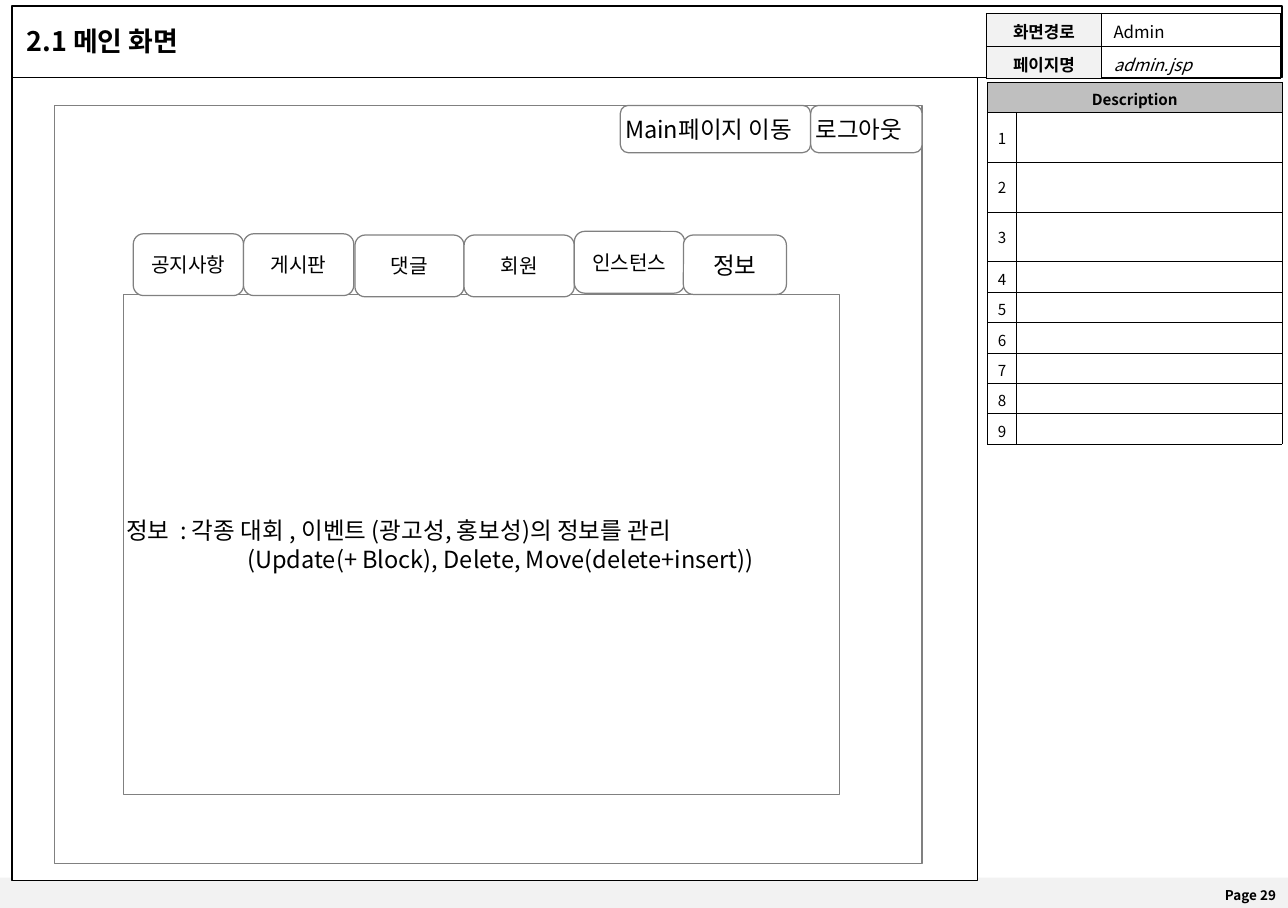
from lxml import etree
from pptx import Presentation
from pptx.dml.color import RGBColor
from pptx.enum.shapes import MSO_SHAPE as Shape
from pptx.enum.text import MSO_ANCHOR as Anchor, MSO_AUTO_SIZE as AutoSize, PP_ALIGN as Align
from pptx.oxml.ns import qn
from pptx.util import Inches, Pt

FONT = "Noto Sans CJK KR"
SLIDE_WIDTH, SLIDE_HEIGHT = 10.63, 7.495
COLORS = {
    "ink": "000000",
    "paper": "FFFFFF",
    "outline": "808080",
    "label": "F2F2F2",
    "heading": "BFBFBF",
}


def color(name):
    return RGBColor.from_string(COLORS[name])


def write_text(holder, text, size=12, bold=False, italic=False, align=Align.LEFT,
               anchor=Anchor.MIDDLE, margins=(0.1, 0.05)):
    """Write lines of text into a text frame or a table cell."""
    holder.vertical_anchor = anchor
    holder.margin_left = holder.margin_right = Inches(margins[0])
    holder.margin_top = holder.margin_bottom = Inches(margins[1])
    frame = getattr(holder, "text_frame", holder)
    frame.word_wrap = True
    for index, line in enumerate(text.split("\n")):
        paragraph = frame.add_paragraph() if index else frame.paragraphs[0]
        if "\t" in line:
            tabs = etree.SubElement(paragraph._p.get_or_add_pPr(), qn("a:tabLst"))
            etree.SubElement(tabs, qn("a:tab"), pos=str(Inches(1)), algn="l")
        paragraph.alignment = align
        if not line:
            etree.SubElement(paragraph._p, qn("a:endParaRPr"), sz=str(size * 100))
            continue
        run = paragraph.add_run()
        run.text = line
        font = run.font
        font.size, font.bold, font.italic = Pt(size), bold, italic
        font.color.rgb = color("ink")
        font.name = FONT
        etree.SubElement(run._r.get_or_add_rPr(), qn("a:ea"), typeface=FONT)


def add_box(slide, left, top, width, height, kind=Shape.RECTANGLE, fill="paper", line="outline"):
    shape = slide.shapes.add_shape(kind, Inches(left), Inches(top), Inches(width), Inches(height))
    shape.shadow.inherit = False
    if fill:
        shape.fill.solid()
        shape.fill.fore_color.rgb = color(fill)
    else:
        shape.fill.background()
    if line:
        shape.line.color.rgb = color(line)
        shape.line.width = Pt(0.75)
    else:
        shape.line.fill.background()
    return shape


def add_button(slide, left, top, width, height, label, size, align):
    button = add_box(slide, left, top, width, height, Shape.ROUNDED_RECTANGLE)
    write_text(button.text_frame, label, size=size, align=align, margins=(0.02, 0.02))


def add_grid(slide, left, top, columns, rows):
    """Add an unstyled table with the given column widths and row heights."""
    table = slide.shapes.add_table(len(rows), len(columns), Inches(left), Inches(top),
                                   Inches(sum(columns)), Inches(sum(rows))).table
    table.first_row = table.horz_banding = False
    for column, width in zip(table.columns, columns):
        column.width = Inches(width)
    for row, height in zip(table.rows, rows):
        row.height = Inches(height)
    return table


def format_cell(cell, fill=None):
    if fill:
        cell.fill.solid()
        cell.fill.fore_color.rgb = color(fill)
    else:
        cell.fill.background()
    properties = cell._tc.get_or_add_tcPr()
    for index, side in enumerate(("lnL", "lnR", "lnT", "lnB")):
        border = etree.Element(qn(f"a:{side}"), w=str(Pt(0.45)))
        solid = etree.SubElement(border, qn("a:solidFill"))
        etree.SubElement(solid, qn("a:srgbClr"), val=COLORS["ink"])
        properties.insert(index, border)


def build_frame(slide, left, top, width, height):
    """Footer band, work area, header bar, title and page number."""
    footer_top = top + height - 0.25
    add_box(slide, left, footer_top, width, 0.25, fill="label", line=None)
    add_box(slide, left + 0.1, top + 0.64, 7.97, 6.63, line="ink")
    add_box(slide, left + 0.1, top + 0.05, 10.48, 0.59, fill=None, line="ink")

    title = slide.shapes.title
    title.left, title.top = Inches(left + 0.12), Inches(top + 0.15)
    title.width, title.height = Inches(5.2), Inches(0.37)
    title.text_frame.auto_size = AutoSize.NONE
    write_text(title.text_frame, "2.1 메인 화면", size=16, bold=True, anchor=Anchor.TOP)

    page = slide.shapes.add_textbox(Inches(left + width - 5.74), Inches(footer_top + 0.02),
                                    Inches(5.74), Inches(0.25))
    write_text(page.text_frame, "Page 29", size=8, bold=True, align=Align.RIGHT)


def build_description(slide, left, top):
    """Numbered description table."""
    table = add_grid(slide, left, top, [0.24, 2.19], [0.25] + [0.41] * 3 + [0.25] * 6)
    table.cell(0, 0).merge(table.cell(0, 1))
    for index in range(len(table.rows)):
        number, note = table.cell(index, 0), table.cell(index, 1)
        heading = index == 0
        for cell in (number, note):
            format_cell(cell, fill="heading" if heading else None)
        write_text(number, "Description" if heading else str(index), size=9, bold=heading,
                   align=Align.CENTER, margins=(0.1 if heading else 0.04, 0.05))
        if not heading:
            write_text(note, "", size=9, margins=(0.04, 0.05))


def build_page_info(slide, left, top):
    """Screen route and page name table."""
    table = add_grid(slide, left, top, [0.95, 1.48], [0.27, 0.27])
    entries = [("화면경로", "Admin", False), ("페이지명", "admin.jsp", True)]
    for index, (label, value, italic) in enumerate(entries):
        label_cell, value_cell = table.cell(index, 0), table.cell(index, 1)
        format_cell(label_cell, fill="label")
        format_cell(value_cell)
        write_text(label_cell, label, size=10, bold=True, align=Align.CENTER)
        write_text(value_cell, value, size=10, italic=italic)


def build_screen(slide, left, top, width, height):
    """Mock-up of the admin screen: content panel, menu tabs and top buttons."""
    add_box(slide, left, top, width, height)

    panel_left, panel_top = left + 0.57, top + 1.56
    panel = add_box(slide, panel_left, panel_top, 5.91, 4.13)
    write_text(panel.text_frame,
               "정보  : 각종 대회 , 이벤트 (광고성, 홍보성)의 정보를 관리\n"
               "\t(Update(+ Block), Delete, Move(delete+insert))",
               size=14, margins=(0.02, 0.02))

    # Label, offset from the panel, rise above it, width, height, text size
    tabs = [
        ("공지사항", 0.08, 0.5, 0.91, 0.51, 12),
        ("게시판", 0.99, 0.5, 0.91, 0.51, 12),
        ("댓글", 1.91, 0.49, 0.9, 0.51, 12),
        ("회원", 2.81, 0.49, 0.91, 0.51, 12),
        ("인스턴스", 3.72, 0.52, 0.91, 0.51, 12),
        ("정보", 4.62, 0.49, 0.85, 0.49, 14),
    ]
    for label, offset, rise, tab_width, tab_height, size in tabs:
        add_button(slide, panel_left + offset, panel_top - rise,
                   tab_width, tab_height, label, size, Align.CENTER)

    # Top buttons, placed from the right edge
    right = left + width
    for label, button_width in [("로그아웃", 0.92), ("Main페이지 이동", 1.57)]:
        right -= button_width
        add_button(slide, right, top, button_width, 0.39, label, 14, Align.LEFT)


def main():
    presentation = Presentation()
    presentation.slide_width = Inches(SLIDE_WIDTH)
    presentation.slide_height = Inches(SLIDE_HEIGHT)
    slide = presentation.slides.add_slide(presentation.slide_layouts[5])
    build_frame(slide, 0, 0, SLIDE_WIDTH, SLIDE_HEIGHT)
    build_description(slide, 8.15, 0.68)
    build_page_info(slide, 8.14, 0.11)
    build_screen(slide, 0.45, 0.87, 7.16, 6.26)
    presentation.save("out.pptx")


if __name__ == "__main__":
    main()
